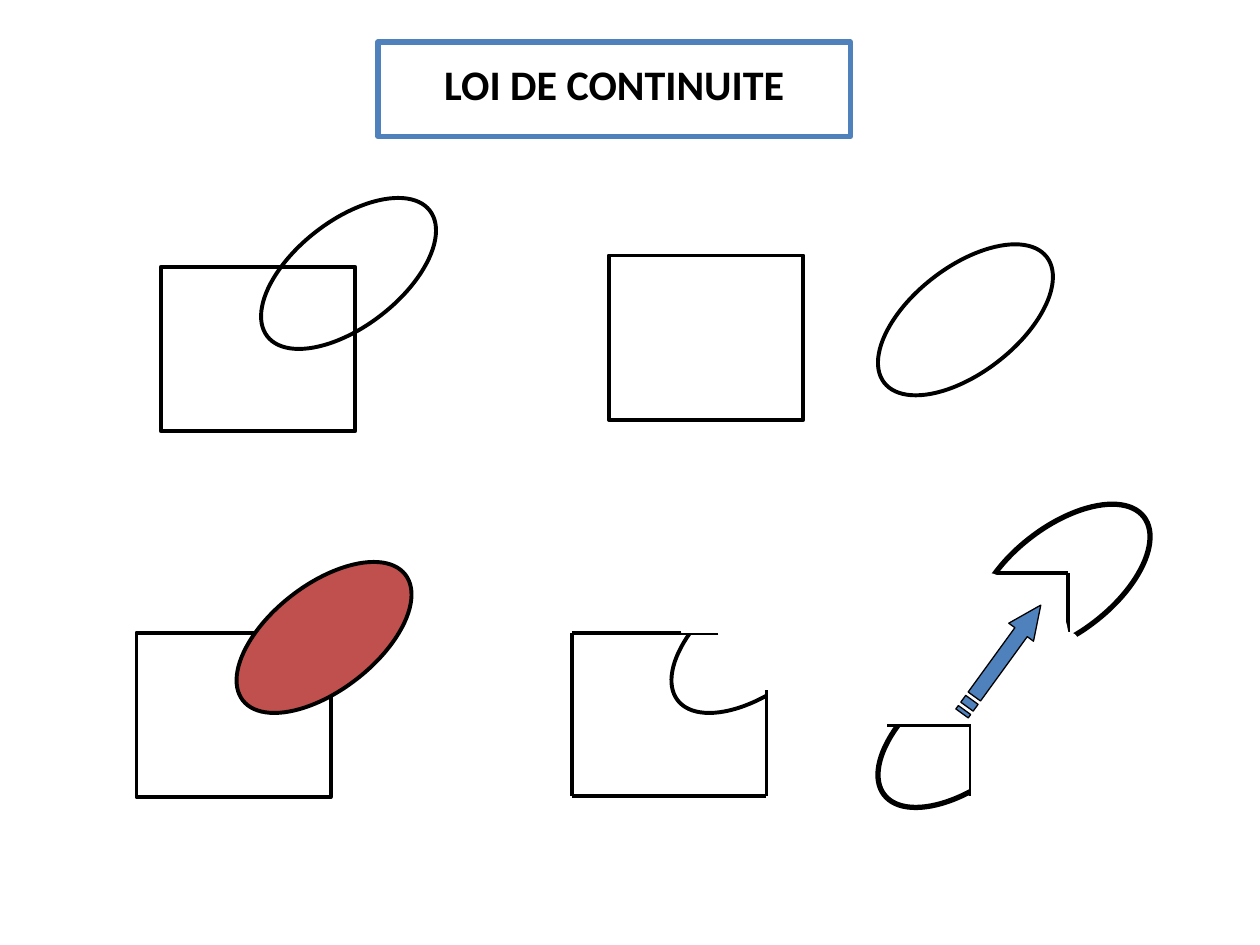
from pptx import Presentation
from pptx.dml.color import RGBColor
from pptx.enum import shapes, text
from pptx.oxml.ns import qn
from pptx.util import Pt
from lxml import etree

BLACK = RGBColor(0x00, 0x00, 0x00)
WHITE = RGBColor(0xFF, 0xFF, 0xFF)
BLUE = RGBColor(0x4F, 0x81, 0xBD)
RED = RGBColor(0xC0, 0x50, 0x4D)

TITLE = "LOI DE CONTINUITE"
FRAME = (216, 24, 270, 54)
TITLE_AREA = (210, 30, 282, 36)

RECT = shapes.MSO_SHAPE.RECTANGLE
OVAL = shapes.MSO_SHAPE.OVAL
SQUARE_SIZE = (111, 94)
ELLIPSE_SIZE = (117.4, 60.5)
TILT = 322.3
STROKE = 2.25
THICK = 3
THIN = 1.5
HAIR = 0.75

FIGURES = [
    ("square", (92, 152.5)),
    ("ellipse", (140.5, 126)),
    ("square", (348, 146)),
    ("ellipse", (493, 152.5)),
    ("square", (78, 361.5)),
    ("ellipse", (126.5, 334), STROKE, RED),
    ("ellipse", (548.5, 301), THICK),
    ("path", [(569, 327.5), (610.5, 327.5), (610.5, 368)]),
    ("mask", OVAL, (548.5, 334, 62, 60.5), False),
    ("mask", OVAL, (548.5, 327.5, 27.5, 20), True),
    ("mask", OVAL, (604, 361.5, 13.5, 20), True),
    ("mask", RECT, (389.5, 321, 111, 40.5), False),
    ("ellipse", (375, 334)),
    ("mask", RECT, (438, 348, 41.5, 74), False),
    ("path", [(410.5, 361.5), (327, 361.5), (327, 455), (438, 455), (438, 394.5)]),
    ("mask", RECT, (389.5, 307.5, 124.5, 54), True),
    ("ellipse", (493, 388), THICK),
    ("path", [(514, 414.5), (555, 414.5)]),
    ("path", [(555, 414.5), (555, 455)], THICK),
    ("mask", RECT, (507, 368, 111, 46.5), True),
    ("mask", RECT, (555, 374.5, 48, 87), True),
    ("path", [(507, 414.5), (555, 414.5)], THIN),
]

ARROW_AREA = (534, 368, 76.5, 17.5)
ARROW_TILT = 306
ARROW_GRID = (32, 4)
ARROW_HEAD = [(24, 0), (24, 1), (5, 1), (5, 3), (24, 3), (24, 4), (32, 2)]
ARROW_STRIPES = [(2, 4), (0, 1)]


def style(figure, fill, line, width):
    figure.shadow.inherit = False
    if fill is None:
        figure.fill.background()
    else:
        figure.fill.solid()
        figure.fill.fore_color.rgb = fill
    if line is None:
        figure.line.fill.background()
    else:
        figure.line.color.rgb = line
        figure.line.width = Pt(width)


def add_figure(slide, kind, area, fill, line, width, tilt=0):
    figure = slide.shapes.add_shape(kind, *map(Pt, area))
    figure.rotation = tilt
    style(figure, fill, line, width)


def add_square(slide, corner):
    add_figure(slide, RECT, corner + SQUARE_SIZE, None, BLACK, STROKE)


def add_ellipse(slide, corner, width=STROKE, fill=None):
    add_figure(slide, OVAL, corner + ELLIPSE_SIZE, fill, BLACK, width, TILT)


def add_mask(slide, kind, area, outlined):
    add_figure(slide, kind, area, WHITE, WHITE if outlined else None, HAIR)


def add_path(slide, points, width=STROKE):
    for start, end in zip(points, points[1:]):
        segment = slide.shapes.add_connector(
            shapes.MSO_CONNECTOR.STRAIGHT, *map(Pt, start + end))
        segment.line.color.rgb = BLACK
        segment.line.width = Pt(width)
        etree.SubElement(segment._element.spPr, qn("a:effectLst"))


def add_arrow(slide):
    left, top, width, height = ARROW_AREA
    columns, rows = ARROW_GRID
    builder = slide.shapes.build_freeform(
        *ARROW_HEAD[0], scale=(Pt(width / columns), Pt(height / rows)))
    builder.add_line_segments(ARROW_HEAD[1:], close=True)
    for near, far in ARROW_STRIPES:
        builder.move_to(near, 1)
        builder.add_line_segments([(far, 1), (far, 3), (near, 3)], close=True)
    arrow = builder.convert_to_shape(Pt(left), Pt(top))
    arrow.rotation = ARROW_TILT
    style(arrow, BLUE, BLACK, HAIR)


def add_title(slide):
    add_figure(slide, RECT, FRAME, None, BLUE, THICK)
    frame = slide.shapes.add_textbox(*map(Pt, TITLE_AREA)).text_frame
    frame.word_wrap = True
    frame.vertical_anchor = text.MSO_ANCHOR.MIDDLE
    frame.text = TITLE
    heading = frame.paragraphs[0]
    heading.alignment = text.PP_ALIGN.CENTER
    font = heading.runs[0].font
    font.name = "Calibri"
    font.size = Pt(24)
    font.bold = True
    font.color.rgb = BLACK


def main():
    deck = Presentation()
    deck.slide_width, deck.slide_height = Pt(720), Pt(540)
    slide = deck.slides.add_slide(deck.slide_layouts[6])
    add_title(slide)
    draw = {"square": add_square, "ellipse": add_ellipse,
            "mask": add_mask, "path": add_path}
    for part, *details in FIGURES:
        draw[part](slide, *details)
    add_arrow(slide)
    deck.save("out.pptx")


if __name__ == "__main__":
    main()
